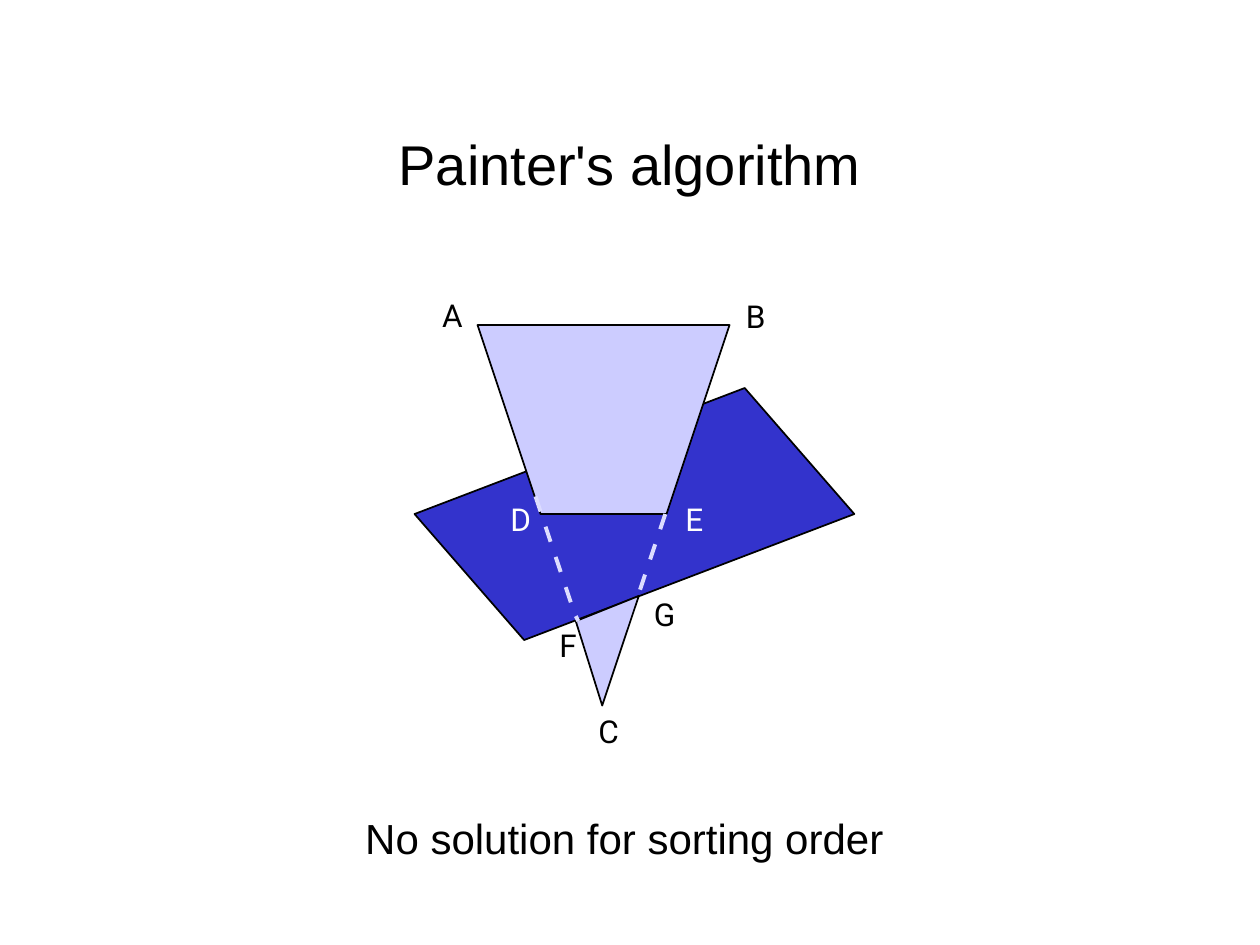
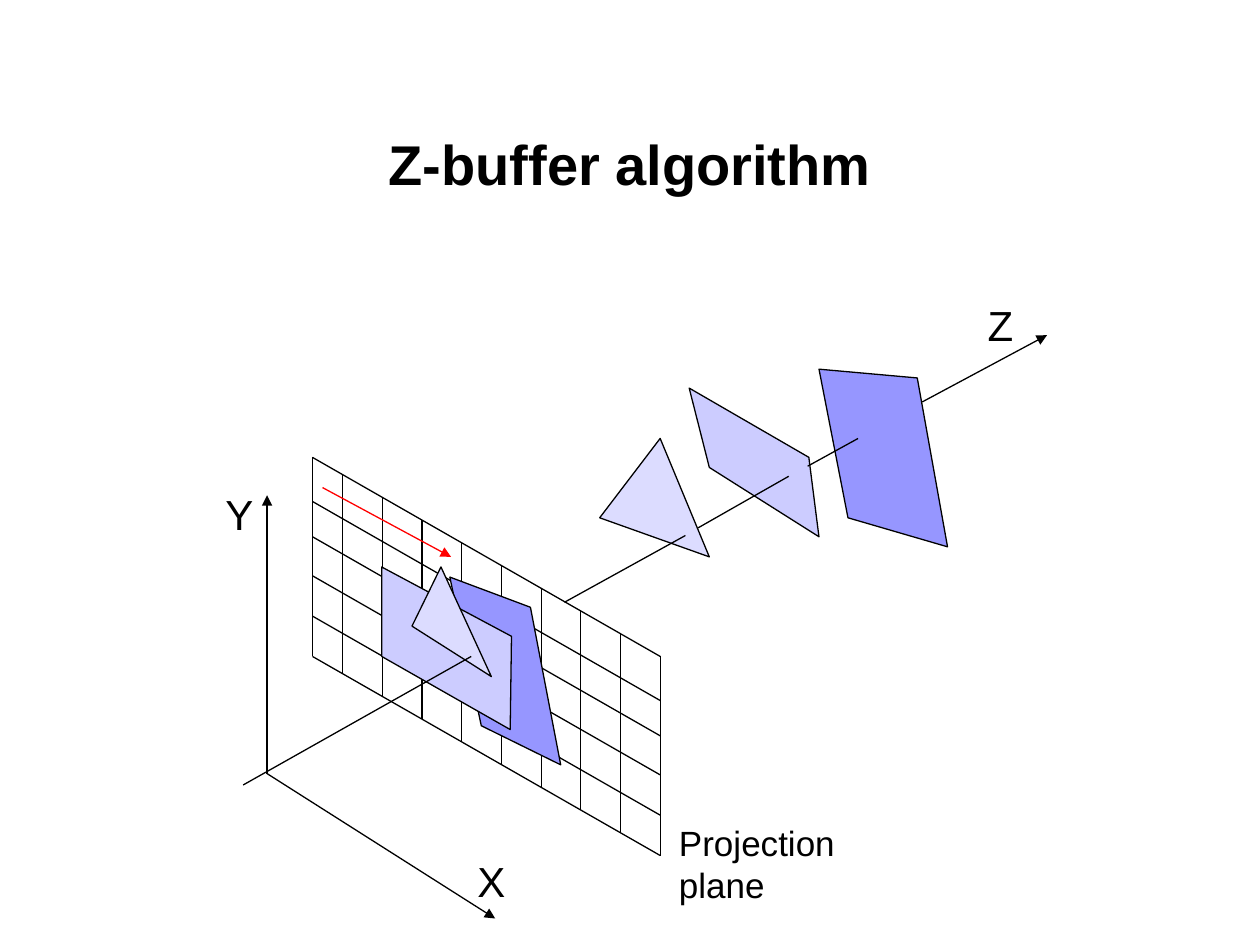
from dataclasses import dataclass

from pptx import Presentation
from pptx.dml.color import RGBColor as RGB
from pptx.enum.text import MSO_ANCHOR as ANCHOR, MSO_AUTO_SIZE as AUTO, PP_ALIGN as ALIGN
from pptx.enum.shapes import MSO_CONNECTOR as CONN
from pptx.oxml.ns import qn
from pptx.util import Pt
from lxml.etree import SubElement

PX = 9144  # 100 px to the inch


@dataclass(frozen=True)
class Theme:
    ink: str = "000000"
    paper: str = "FFFFFF"
    scan: str = "FF0000"
    deep: str = "3333CC"
    strong: str = "9696FF"
    soft: str = "CCCCFF"
    pale: str = "DCDCFF"
    font: str = "Arial"
    label_font: str = "Roboto"
    title: int = 32
    body: int = 24
    note: int = 20
    label: int = 18
    bold_line: float = 1
    thin_line: float = 0.75
    dash_line: float = 2.25


T = Theme()
SLIDE = (1000, 750)
TITLE_BOX = (75, 67, 850, 125)


def emu(*lengths):
    return [round(v * PX) for v in lengths]


class Region:
    """Draws on a slide with all places relative to the region's corner."""

    def __init__(self, s, x, y):
        self.shapes, self.x, self.y = s.shapes, x, y

    def at(self, x, y):
        return emu(self.x + x, self.y + y)

    def polygon(self, points, fill, width=T.thin_line):
        start, *rest = [self.at(*pt) for pt in points]
        builder = self.shapes.build_freeform(*start, scale=1.0)
        builder.add_line_segments(rest, close=True)
        sp = builder.convert_to_shape()
        sp.shadow.inherit = False
        sp.fill.solid()
        sp.fill.fore_color.rgb = RGB.from_string(fill)
        sp.line.color.rgb = RGB.from_string(T.ink)
        sp.line.width = Pt(width)

    def line(self, start, end, color=T.ink, width=T.thin_line, arrow=False):
        cx = self.shapes.add_connector(CONN.STRAIGHT, *self.at(*start), *self.at(*end))
        cx.line.color.rgb = RGB.from_string(color)
        cx.line.width = Pt(width)
        if arrow:
            SubElement(cx.line._get_or_add_ln(), qn("a:tailEnd"), type="triangle")
        SubElement(cx._element.spPr, qn("a:effectLst"))

    def text(self, text, box, size=T.body, font=T.font, color=T.ink, bold=False,
             inset=(10, 5), fill=None, frame=None, para=None):
        x, y, w, h = box
        sp = self.shapes.add_textbox(*self.at(x, y), *emu(w, h))
        if fill:
            sp.fill.solid()
            sp.fill.fore_color.rgb = RGB.from_string(fill)
        tf = sp.text_frame
        p = tf.paragraphs[0]
        r = p.add_run()
        r.text = text
        mx, my = emu(*inset)
        frame_format = {"margin_left": mx, "margin_right": mx,
                        "margin_top": my, "margin_bottom": my,
                        "word_wrap": False, "auto_size": AUTO.SHAPE_TO_FIT_TEXT}
        formats = ((tf, frame_format | (frame or {})), (p, para or {}),
                   (r.font, {"name": font, "size": Pt(size), "bold": bold}))
        for target, values in formats:
            for name, value in values.items():
                setattr(target, name, value)
        r.font.color.rgb = RGB.from_string(color)


def new_slide(prs, title, bold=False):
    s = prs.slides.add_slide(prs.slide_layouts[6])
    Region(s, 0, 0).text(
        title, TITLE_BOX, T.title, bold=bold,
        frame={"word_wrap": True, "auto_size": AUTO.NONE, "vertical_anchor": ANCHOR.MIDDLE},
        para={"alignment": ALIGN.CENTER, "space_before": Pt(12), "space_after": Pt(6)})
    return s


def hidden_edge(area, start, dx, count):
    """Dashes running down an edge that lies behind the parallelogram."""
    x, y = start
    for i in range(count):
        left, top = x + 2 * dx * i, y + 24 * i
        area.line((left, top), (left + dx, top + 12), T.pale, T.dash_line)


def overlap_figure(s, x, y):
    area = Region(s, x, y)
    parallelogram = [(0, 173), (87, 273), (349, 173), (262, 73)]
    front_part = [(100, 173), (200, 173), (250, 23), (50, 23)]
    tip = [(149, 325), (128, 258), (178, 238)]
    area.polygon(parallelogram, T.deep, T.bold_line)
    area.polygon(front_part, T.soft, T.bold_line)

    labels = {"A": (22, 0, 16), "B": (263, 1, 16), "C": (146, 330, 16),
              "D": (76, 162, 18), "E": (215, 162, 14),
              "F": (115, 262, 13), "G": (190, 237, 18)}
    for name, (left, top, width) in labels.items():
        inside = name in "DE"
        area.text(name, (left, top, width, 30), T.label, T.label_font,
                  T.paper if inside else T.ink, inset=(0, 0),
                  fill=T.deep if inside else None)

    area.polygon(tip, T.soft, T.bold_line)
    hidden_edge(area, (96, 159), 4, 4)
    area.line((128, 254), (130, 258), T.pale, T.dash_line)
    hidden_edge(area, (199, 173), -4, 3)


def projection_plane(s, x, y):
    """Slanted pixel grid with the projected objects and the scan direction."""
    area = Region(s, x, y)
    width, height, drop, column = 276, 158, 158, 31.5
    for top in (0, 35, 63, 94, 126, height):
        area.line((0, top), (width, top + drop))
    for left in [0] + [width - column * i for i in range(9)]:
        top = left * drop / width
        area.line((left, top), (left, top + height))

    projections = (
        (T.strong, [(109, 95), (173, 119), (197, 244), (134, 213)]),
        (T.soft, [(55, 87), (158, 142), (157, 216), (55, 158)]),
        (T.pale, [(102, 87), (142, 174), (79, 134)]))
    for fill, points in projections:
        area.polygon(points, fill)
    area.line((8, 24), (110, 79), T.scan, arrow=True)
    area.text("Projection plane", (281, 284, 219, 44), T.note)


def scene_objects(s, x, y):
    area = Region(s, x, y)
    objects = (
        (T.pale, [(48, 55), (87, 149), (0, 118)]),
        (T.soft, [(71, 15), (87, 78), (174, 133), (166, 70)]),
        (T.strong, [(174, 0), (252, 7), (276, 141), (197, 118)]))
    for fill, points in objects:
        area.polygon(points, fill)


def axes(s, x, y):
    """X and Y from the origin, and Z broken where the objects cover it."""
    area = Region(s, x, y)
    z_pieces = [((-19, 9), (162, -93)), ((236, -136), (332, -189)),
                ((342, -195), (414, -236)), ((429, -244), (469, -266))]
    for start, end in z_pieces:
        area.line(start, end)
    arrows = (("X", (0, 0), (181, 115), (157, 60, 42, 50)),
              ("Y", (0, 0), (0, -221), (-43, -231, 42, 50)),
              ("Z", (520, -295), (619, -348), (562, -381, 40, 50)))
    for name, start, end, box in arrows:
        area.line(start, end, arrow=True)
        area.text(name, box)


def painter_slide(prs):
    s = new_slide(prs, "Painter's algorithm")
    overlap_figure(s, 329, 235)
    Region(s, 280, 640).text("No solution for sorting order", (0, 0, 431, 50))


def z_buffer_slide(prs):
    s = new_slide(prs, "Z-buffer algorithm", bold=True)
    projection_plane(s, 248, 363)
    scene_objects(s, 476, 293)
    axes(s, 212, 614)


def main():
    prs = Presentation()
    prs.slide_width, prs.slide_height = emu(*SLIDE)
    painter_slide(prs)
    z_buffer_slide(prs)
    prs.save("out.pptx")


if __name__ == "__main__":
    main()
